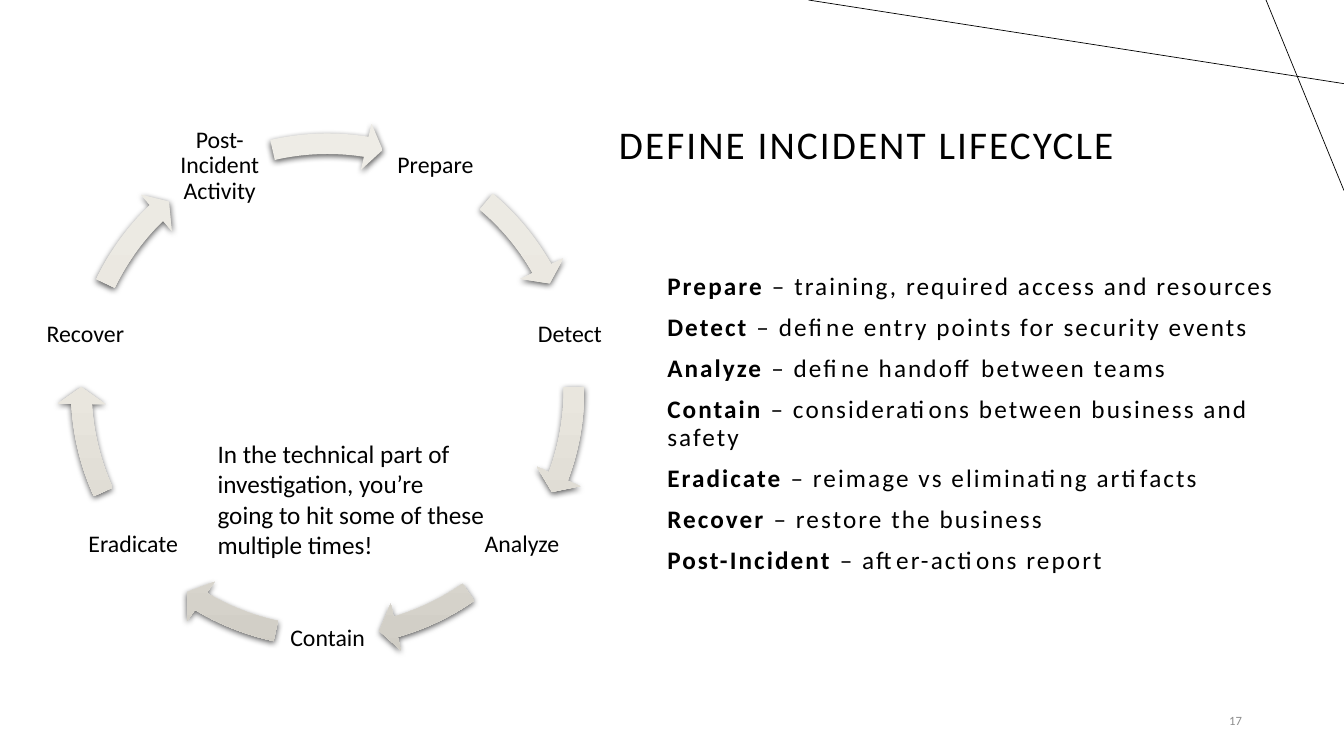
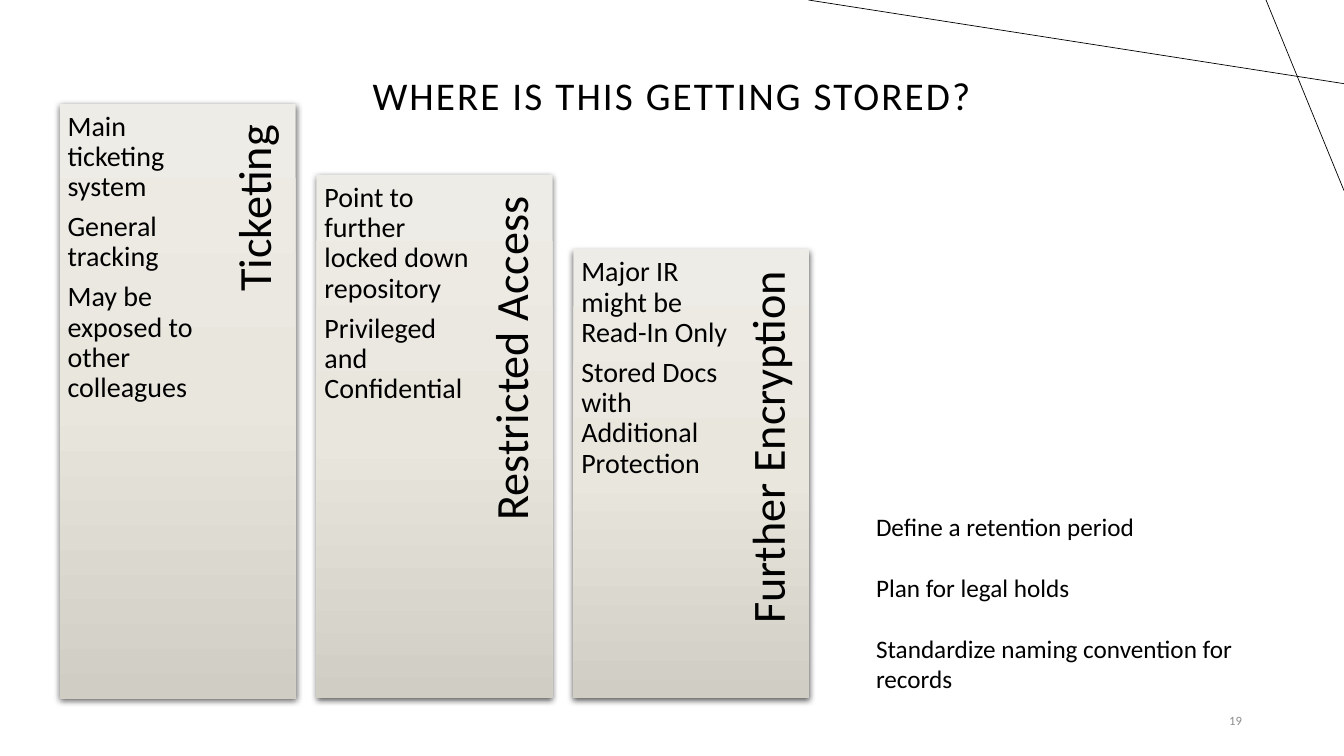
import math

from lxml import etree
from pptx import Presentation
from pptx import util as u
from pptx.dml.color import RGBColor
from pptx.enum import shapes, text
from pptx.oxml import ns

WIDE, HIGH = u.Inches(13.333), u.Inches(7.5)
FONT = "Calibri"
HUES = {"ink": "000000", "gray": "8C8C8C", "top": "EEECE6", "mid": "E9E6DE", "low": "D0CDC5"}
LEFT, MID, RIGHT = text.PP_ALIGN.LEFT, text.PP_ALIGN.CENTER, text.PP_ALIGN.RIGHT
TOP, HALF = text.MSO_ANCHOR.TOP, text.MSO_ANCHOR.MIDDLE

LINES = [(100, 11.07, 60.15, 0), (94.2, 0, 100, 25.2)]
STEPS = [
    ("Prepare", 310.1, 330.44),
    ("Detect", 359.3, 20.5),
    ("Analyze", 55.14, 73.95),
    ("Contain", 102.14, 120.95),
    ("Eradicate", 155.59, 176.79),
    ("Recover", 205.64, 225.99),
    ("Post-Incident Activity", 257.08, 279.01),
]
TERMS = [
    ("Prepare ", "– training, required access and resources"),
    ("Detect ", "– define entry points for security events"),
    ("Analyze ", "– define handoff between teams"),
    ("Contain ", "– considerations between business and safety"),
    ("Eradicate ", "– reimage vs eliminating artifacts"),
    ("Recover ", "– restore the business"),
    ("Post-Incident ", "– after-actions report"),
]
NOTE = "In the technical part of investigation, you’re going to hit some of these multiple times!"
BARS = [
    ("Ticketing", 0, ["Main ticketing system", "General tracking", "May be exposed to other colleagues"]),
    ("Restricted Access", 0.12, ["Point to further locked down repository", "Privileged and Confidential"]),
    ("Further Encryption", 0.245, ["Major IR might be Read-In Only", "Stored Docs with Additional Protection"]),
]
TASKS = ["Define a retention period", "Plan for legal holds", "Standardize naming convention for records"]


def area(x, y, w, h):
    return [int(v * s / 100) for v, s in zip((x, y, w, h), (WIDE, HIGH, WIDE, HIGH))]


def move(shape, box):
    shape.left, shape.top, shape.width, shape.height = [int(v) for v in box]


def write(shape, paras, size, hue="ink", align=LEFT, anchor=TOP, lead=1, before=0, after=0,
          track=0, pads=(0.1, 0.05, 0.1, 0.05)):
    frame = shape.text_frame
    frame.word_wrap, frame.auto_size = True, text.MSO_AUTO_SIZE.NONE
    frame.vertical_anchor = anchor
    frame.margin_left, frame.margin_top, frame.margin_right, frame.margin_bottom = map(u.Inches, pads)
    for i, runs in enumerate(paras):
        para = frame.add_paragraph() if i else frame.paragraphs[0]
        props = para._p.get_or_add_pPr()
        props.set("marL", "0")
        props.set("indent", "0")
        para.alignment, para.line_spacing = align, lead
        para.space_before, para.space_after = u.Pt(before if i else 0), u.Pt(after)
        etree.SubElement(props, ns.qn("a:buNone"))
        for words, bold in runs:
            run = para.add_run()
            run.text = words
            font = run.font
            font.name, font.size, font.bold = FONT, u.Pt(size), bold
            font.color.rgb = RGBColor.from_string(HUES[hue])
            if track:
                run._r.get_or_add_rPr().set("spc", str(track))


def plain(*words):
    return [[(w, False)] for w in words]


def label(slide, box, paras, size, **style):
    shape = slide.shapes.add_textbox(*[int(v) for v in box])
    write(shape, paras, size, **style)
    return shape


def stone(slide, kind, box):
    shape = slide.shapes.add_shape(kind, *[int(v) for v in box])
    shape.line.fill.background()
    shape.fill.gradient()
    shape.fill.gradient_angle = 270
    stops = shape._element.spPr.find(".//" + ns.qn("a:gsLst"))
    for old in list(stops):
        stops.remove(old)
    for pos, name in ((0, "top"), (50000, "mid"), (100000, "low")):
        stop = etree.SubElement(stops, ns.qn("a:gs"), pos=str(pos))
        etree.SubElement(stop, ns.qn("a:srgbClr"), val=HUES[name])
    shape.shadow.inherit = False
    effects = shape._element.spPr.find(ns.qn("a:effectLst"))
    shade = etree.SubElement(effects, ns.qn("a:outerShdw"), blurRad=str(u.Pt(4.5)),
                             dist=str(u.Pt(1.5)), dir="5400000", algn="ctr", rotWithShape="0")
    tint = etree.SubElement(shade, ns.qn("a:srgbClr"), val=HUES["ink"])
    etree.SubElement(tint, ns.qn("a:alpha"), val="63000")
    return shape


def rays(deck, slide):
    tree = deck.slide_master.element.cSld.spTree
    for x, y, right, low in LINES:
        ends = area(x, y, right, low)
        line = slide.shapes.add_connector(shapes.MSO_CONNECTOR.STRAIGHT, *ends)
        line.line.width = u.Pt(0.5)
        line.line.color.rgb = RGBColor.from_string(HUES["ink"])
        etree.SubElement(line._element.spPr, ns.qn("a:effectLst"))
        tree.append(line._element)


def start(deck, title, box, number):
    slide = deck.slides.add_slide(deck.slide_layouts[1])
    move(slide.shapes.title, box)
    write(slide.shapes.title, plain(title), 28, align=MID, anchor=HALF, lead=0.9, track=150)
    label(slide, area(70.65, 92.67, 22.5, 5.33), plain(number), 9, hue="gray", align=RIGHT, anchor=HALF)
    return slide


def ring(slide, box):
    x, y, w, h = box
    side = w * 0.192
    for i, (name, tail, head) in enumerate(STEPS):
        turn = math.tau * (i + 0.5) / len(STEPS)
        mid = x + w / 2 + w * 0.46 * math.sin(turn)
        row = y + h / 2 - h * 0.46 * math.cos(turn)
        label(slide, (mid - side / 2, row - side / 2, side, side), plain(name), 17,
              align=MID, anchor=HALF, lead=0.9, pads=[0.02] * 4)
        arrow = stone(slide, shapes.MSO_SHAPE.CIRCULAR_ARROW, box)
        for k, value in enumerate((0.038, 3.91 * 0.6, head * 0.6, tail * 0.6, 0.044)):
            arrow.adjustments[k] = value


def stairs(slide, box):
    x, y, w, h = box
    wide = w * 0.315
    step = (w - wide) / (len(BARS) - 1)
    for i, (name, drop, points) in enumerate(BARS):
        left, top, tall = x + i * step, y + h * drop, h * (1 - drop)
        stone(slide, shapes.MSO_SHAPE.RECTANGLE, (left, top, wide, tall))
        span, thick = tall * 0.9, wide * 0.26
        spot = (left + wide * 0.843 - span / 2, top + span / 2 - thick / 2, span, thick)
        head = label(slide, spot, plain(name), 33, align=RIGHT, anchor=HALF, lead=0.9,
                     pads=(0.14, 0, 0.21, 0.05))
        head.rotation = 270
        label(slide, (left, top, wide * 0.71, tall), plain(*points), 20, lead=0.9, after=7,
              pads=[0.08] * 4)


def cycle(deck):
    slide = start(deck, "DEFINE INCIDENT LIFECYCLE", area(29.93, 9.73, 69.08, 19.33), "17")
    rays(deck, slide)
    body = slide.placeholders[1]
    move(body, area(48.9, 19.47, 48.6, 73.33))
    write(body, [[(term, True), (rest, False)] for term, rest in TERMS], 18,
          anchor=HALF, lead=0.9, before=10, track=150)
    ring(slide, area(4.28, 15.87, 40.2, 71.47))
    label(slide, area(15.45, 57.33, 21.38, 17.47), plain(NOTE), 18)


def store(deck):
    slide = start(deck, "WHERE IS THIS GETTING STORED?", area(15.45, 3.33, 69.08, 19.33), "19")
    stairs(slide, area(4.43, 13.73, 55.8, 78.67))
    body = slide.placeholders[1]
    move(body, area(64.43, 66.93, 32.78, 25.6))
    write(body, plain(*TASKS), 18, before=22)


def main():
    deck = Presentation()
    deck.slide_width, deck.slide_height = WIDE, HIGH
    cycle(deck)
    store(deck)
    deck.save("out.pptx")


if __name__ == "__main__":
    main()
